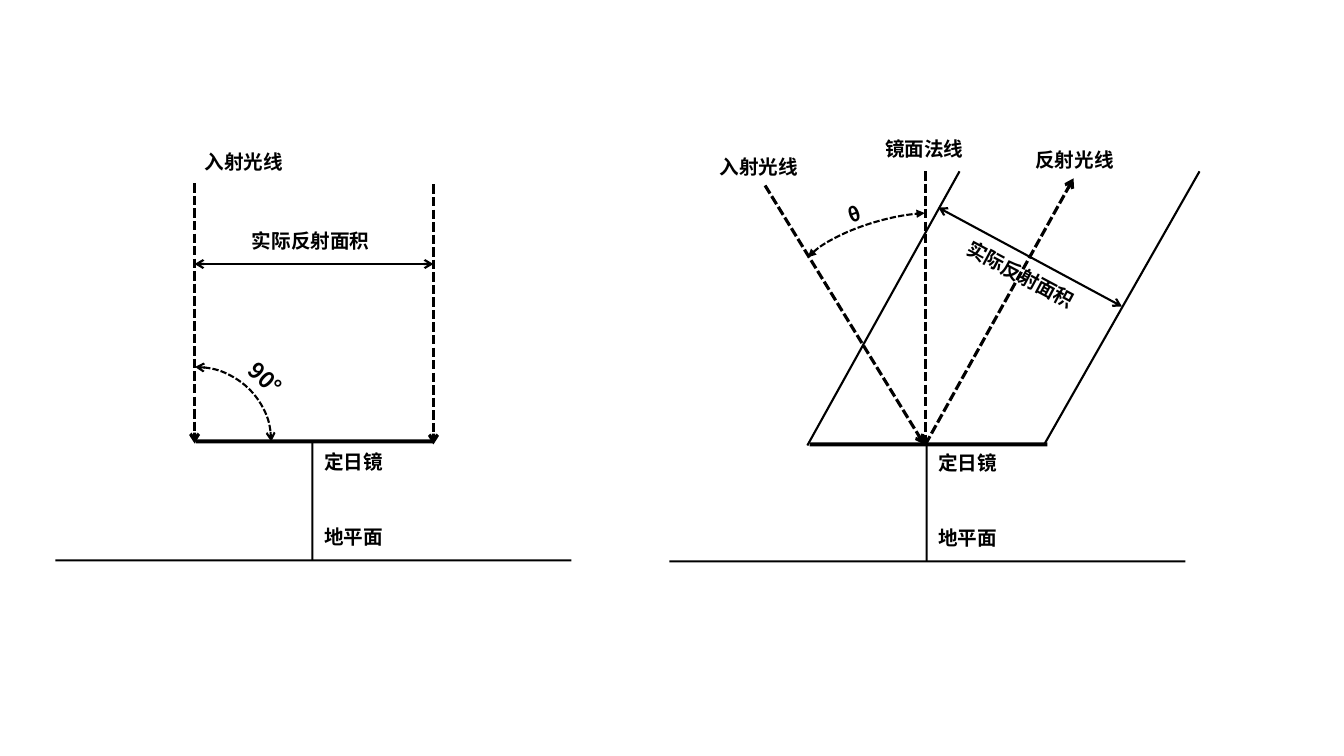
from lxml.etree import SubElement
from pptx import Presentation
from pptx.dml.color import RGBColor
from pptx.enum.dml import MSO_LINE_DASH_STYLE as DASH
from pptx.enum.shapes import MSO_CONNECTOR as CONN, MSO_SHAPE as SHAPE
from pptx.enum.text import MSO_AUTO_SIZE as AUTO, PP_ALIGN as ALIGN
from pptx.oxml.ns import qn
from pptx.util import Pt

BLACK = RGBColor(0, 0, 0)
FONT = "Noto Sans CJK SC"
LEFT, CENTER = ALIGN.LEFT, ALIGN.CENTER
SHORT, LONG, HEIGHT = 76.3, 102.2, 24.5

PANELS = [
    {"dx": 0, "dy": 0, "mirror_top": 313.9},
    {"dx": 438.6, "dy": 0.7, "mirror_top": 316.1},
]
STAND_LABELS = [("定日镜", 318.2), ("地平面", 371.5)]

RAYS = [
    ((139, 131), (139, 316.8), None, "arrow"),
    ((309.6, 131.8), (309.6, 317.5), None, "arrow"),
    ((661, 122.4), (661, 317.5), None, None),
    ((546.5, 132.5), (660.2, 317.5), None, "arrow"),
    ((661, 317.5), (766.8, 127.4), None, "arrow"),
]
SOLID_LINES = [
    ((139, 188.6), (309.6, 188.6), "arrow", "arrow"),
    ((745.9, 317.5), (856.8, 122.4), None, None),
    ((576.7, 318.2), (685.4, 122.4), None, None),
    ((670.3, 148.3), (801.4, 218.9), "arrow", "arrow"),
]
ARCS = [
    ((85, 262.1, 108.7, 106.6), 0, (), "arrow"),
    ((569.5, 157, 128.9, 46.1), 344.6, (114.99, 197.51), "triangle"),
]
LABELS = [
    ("入射光线", 139, 103.7, SHORT, 0, LEFT, 14),
    ("实际反射面积", 172.8, 159.8, LONG, 0, LEFT, 14),
    ("90°", 166.3, 265.7, 64.8, 44, LEFT, 16),
    ("镜面法线", 622.1, 94.3, SHORT, 0, CENTER, 14),
    ("入射光线", 504, 107.3, SHORT, 0, CENTER, 14),
    ("反射光线", 729.4, 102.2, SHORT, 0, CENTER, 14),
    ("实际反射面积", 679.7, 185, LONG, 28.1, LEFT, 14),
    ("θ", 572.4, 141.1, SHORT, 339.9, CENTER, 14),
]

prs = Presentation()
prs.slide_width, prs.slide_height = Pt(960), Pt(540)
s = prs.slides.add_slide(prs.slide_layouts[6])


def add_bar(x, y, w, h, rotation=0):
    sp = s.shapes.add_shape(SHAPE.RECTANGLE, Pt(x), Pt(y), Pt(w), Pt(h))
    sp.shadow.inherit = False
    sp.fill.solid()
    sp.fill.fore_color.rgb = BLACK
    sp.line.fill.background()
    sp.rotation = rotation


def style_line(sp, width, dashed, head, tail):
    sp.line.color.rgb = BLACK
    sp.line.width = Pt(width)
    if dashed:
        sp.line.dash_style = DASH.SQUARE_DOT
    ln = sp.line._get_or_add_ln()
    for tag, kind in (("a:headEnd", head), ("a:tailEnd", tail)):
        if kind:
            SubElement(ln, qn(tag), type=kind)


def add_line(start, end, head, tail, width, dashed):
    cx = s.shapes.add_connector(CONN.STRAIGHT, *map(Pt, start + end))
    style_line(cx, width, dashed, head, tail)
    SubElement(cx._element.spPr, qn("a:effectLst"))


def add_arc(box, rotation, angles, arrow):
    sp = s.shapes.add_shape(SHAPE.ARC, *map(Pt, box))
    sp.shadow.inherit = False
    sp.fill.background()
    sp.rotation = rotation
    for i, angle in enumerate(angles):
        sp.adjustments[i] = angle
    style_line(sp, 1.5, True, arrow, arrow)


def add_label(text, x, y, w, rotation=0, align=LEFT, size=14):
    height = HEIGHT if size == 14 else 26.6
    tb = s.shapes.add_textbox(Pt(x), Pt(y), Pt(w), Pt(height))
    tb.rotation = rotation
    tf = tb.text_frame
    tf.word_wrap = True
    tf.auto_size = AUTO.SHAPE_TO_FIT_TEXT
    p = tf.paragraphs[0]
    p.alignment = align
    r = p.add_run()
    r.text = text
    r.font.size = Pt(size)
    r.font.bold = True
    r.font.color.rgb = BLACK
    r.font.name = FONT
    SubElement(r.font._element, qn("a:ea"), typeface=FONT)


for panel in PANELS:
    dx, dy = panel["dx"], panel["dy"]
    add_bar(39.6 + dx, 399.6 + dy, 368.6, 1.44)
    add_bar(180.7 + dx, 357.1 + dy, 85, 1.44, 90)
    add_bar(139.7 + dx, panel["mirror_top"], 169.9, 2.9)
    for text, y in STAND_LABELS:
        add_label(text, 224.6 + dx, y + dy, SHORT)

for ray in RAYS:
    add_line(*ray, width=2.25, dashed=True)
for line in SOLID_LINES:
    add_line(*line, width=1.5, dashed=False)
for arc in ARCS:
    add_arc(*arc)
for label in LABELS:
    add_label(*label)

prs.save("out.pptx")
